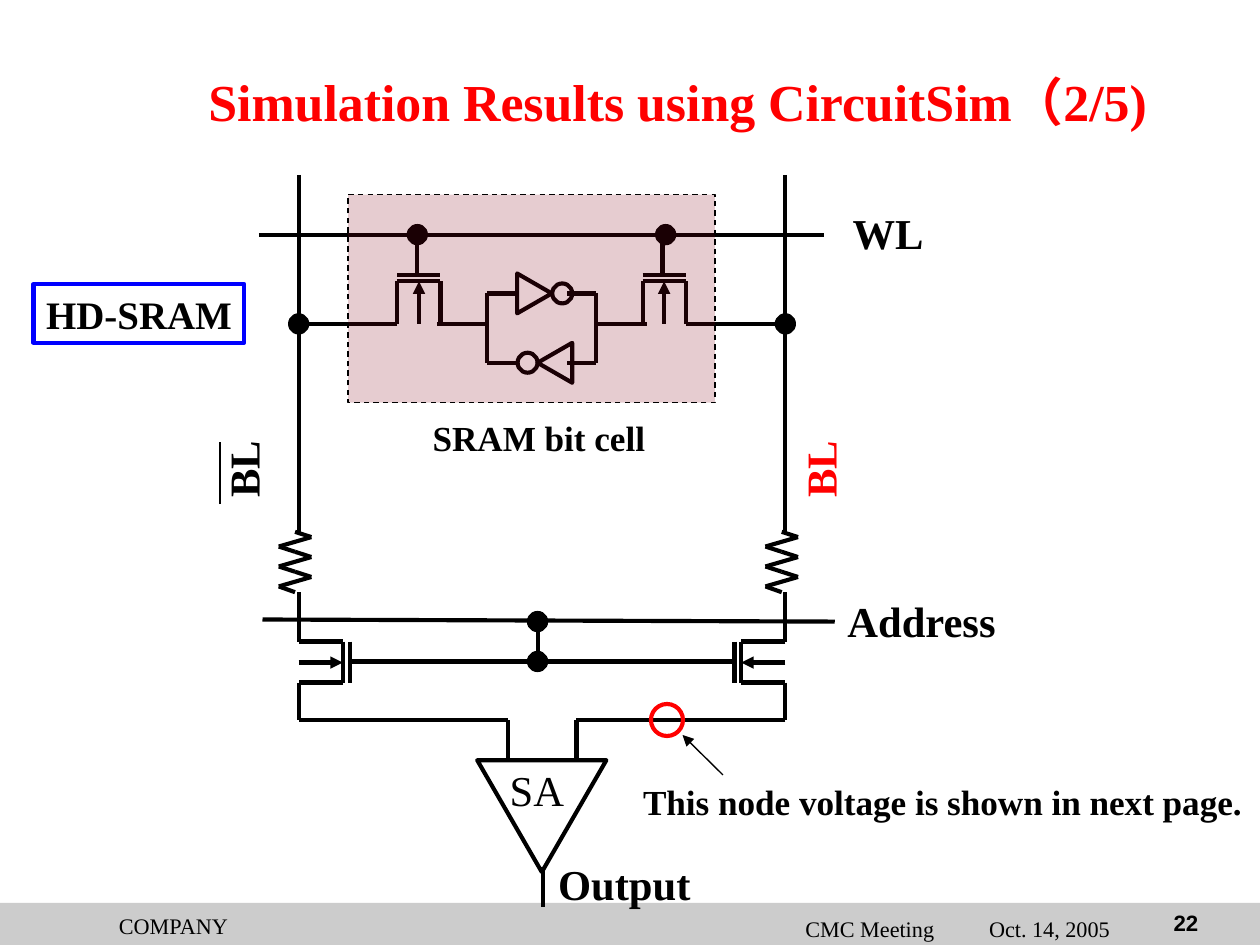
from lxml import etree
from pptx import Presentation
from pptx.dml.color import RGBColor
from pptx.enum.dml import MSO_LINE
from pptx.enum.shapes import MSO_CONNECTOR, MSO_SHAPE
from pptx.enum.text import MSO_ANCHOR, MSO_AUTO_SIZE, PP_ALIGN
from pptx.oxml.ns import qn
from pptx.util import Cm, Pt

STRAIGHT = MSO_CONNECTOR.STRAIGHT
RECTANGLE = MSO_SHAPE.RECTANGLE
TRIANGLE = MSO_SHAPE.ISOSCELES_TRIANGLE
OVAL = MSO_SHAPE.OVAL
LEFT, CENTER = PP_ALIGN.LEFT, PP_ALIGN.CENTER
TOP, MIDDLE = MSO_ANCHOR.TOP, MSO_ANCHOR.MIDDLE

COLORS = {"black": "000000", "red": "FF0000", "blue": "0000FF",
          "footer": "CCCCCC", "cell": "840017"}
SERIF = "Times New Roman"
THICK, THIN = 2.25, 0.75

BIT_LINES = ((5.69, 1), (14.96, -1))  # x and the direction towards the middle
WORD_Y, CELL_Y = 4.47, 6.17
RESISTOR_TOP, RESISTOR_BOTTOM = 10.13, 11.28
SWITCH_TOP, SWITCH_BOTTOM = 12.22, 13.0
GATE_Y, SENSE_Y, AMPLIFIER_TOP = 12.6, 13.72, 14.48
ADDRESS_X, ADDRESS_Y = 10.24, 11.84


def rgb(name):
    return RGBColor.from_string(COLORS[name])


def add_wire(slide, *points, width=THICK, arrow=False):
    """Join the points with straight lines; an arrowhead goes on each end point."""
    for start, end in zip(points, points[1:]):
        line = slide.shapes.add_connector(STRAIGHT, *map(Cm, start + end))
        line.line.color.rgb = rgb("black")
        line.line.width = Pt(width)
        if arrow:
            etree.SubElement(line.line._get_or_add_ln(), qn("a:tailEnd"), type="triangle")
        etree.SubElement(line._element.spPr, qn("a:effectLst"))


def add_shape(slide, kind, box, fill=None, line="black", width=THICK, rotation=0):
    shape = slide.shapes.add_shape(kind, *map(Cm, box))
    shape.shadow.inherit = False
    shape.rotation = rotation
    if fill:
        shape.fill.solid()
        shape.fill.fore_color.rgb = rgb(fill)
    else:
        shape.fill.background()
    if line:
        shape.line.color.rgb = rgb(line)
        shape.line.width = Pt(width)
    else:
        shape.line.fill.background()
    return shape


def write_text(shape, text, size, color="black", bold=True, font=SERIF,
               align=LEFT, anchor=TOP, wrap=False):
    frame = shape.text_frame
    frame.text = text
    frame.word_wrap = wrap
    frame.auto_size = MSO_AUTO_SIZE.NONE
    frame.vertical_anchor = anchor
    frame.margin_left = frame.margin_right = Cm(0.24)
    frame.margin_top = frame.margin_bottom = Cm(0.13)
    paragraph = frame.paragraphs[0]
    paragraph.alignment = align
    for run in paragraph.runs:
        run.font.name = font
        run.font.size = Pt(size)
        run.font.bold = bold
        run.font.color.rgb = rgb(color)


def add_label(slide, text, box, size, rotation=0, **style):
    label = slide.shapes.add_textbox(*map(Cm, box))
    label.rotation = rotation
    write_text(label, text, size, **style)
    return label


def add_dot(slide, x, y):
    add_shape(slide, OVAL, (x - 0.19, y - 0.19, 0.38, 0.38), fill="black", width=THIN)


def add_title(slide):
    title = slide.shapes.title
    title.left, title.top, title.width, title.height = map(Cm, (3.73, 1.19, 20, 1.42))
    write_text(title, "Simulation Results using CircuitSim（2/5)", 28, color="red", wrap=True)


def add_footer(slide):
    add_shape(slide, RECTANGLE, (0, 17.2, 24, 0.8), fill="footer", line=None)
    add_label(slide, "22", (21.74, 17.2, 1.7, 0.76), 12, font="Arial",
              align=CENTER, anchor=MIDDLE, wrap=True)
    add_label(slide, "COMPANY", (0.41, 17.25, 5.79, 0.76), 12, bold=False,
              align=CENTER, wrap=True)
    meeting = add_label(slide, "CMC Meeting\tOct. 14, 2005", (15.1, 17.3, 6.6, 0.7), 12,
                        bold=False, wrap=True)
    properties = meeting.text_frame.paragraphs[0]._p.get_or_add_pPr()
    tabs = etree.SubElement(properties, qn("a:tabLst"))
    etree.SubElement(tabs, qn("a:tab"), pos=str(Cm(3.5)), algn="l")


def add_access_transistor(slide, left):
    right, arrow_x, gate_y, channel_y = left + 0.82, left + 0.41, 5.23, 5.36
    add_wire(slide, (left + 0.38, WORD_Y), (left + 0.38, gate_y))
    add_wire(slide, (left, gate_y), (right, gate_y))
    add_wire(slide, (left, CELL_Y), (left, channel_y), (right, channel_y), (right, CELL_Y))
    add_wire(slide, (arrow_x, CELL_Y), (arrow_x, channel_y), arrow=True)


def add_inverter(slide, y, triangle_left, circle_left, rotation):
    add_shape(slide, TRIANGLE, (triangle_left, y - 0.33, 0.76, 0.66), rotation=rotation)
    add_shape(slide, OVAL, (circle_left, y - 0.19, 0.38, 0.38))


def add_bit_cell(slide):
    add_wire(slide, (4.93, WORD_Y), (15.7, WORD_Y))
    for left in (7.57, 12.24):
        add_access_transistor(slide, left)
    for start, end in ((5.69, 7.57), (8.33, 9.27), (11.35, 12.32), (13.06, 14.96)):
        add_wire(slide, (start, CELL_Y), (end, CELL_Y))
    upper, lower = 5.59, 6.91
    add_inverter(slide, upper, 9.8, 10.52, 90)
    add_inverter(slide, lower, 10.19, 9.86, 270)
    for inner, outer in ((9.86, 9.27), (10.8, 11.35)):
        add_wire(slide, (inner, upper), (outer, upper), (outer, lower), (inner, lower))
    for x in (7.95, 12.68):
        add_dot(slide, x, WORD_Y)


def add_resistor(slide, x):
    points = []
    for turn in range(3):
        y = RESISTOR_TOP + turn * 0.38
        points += [(x, y), (x + 0.31, y + 0.1), (x - 0.31, y + 0.28)]
    add_wire(slide, *points, (x, RESISTOR_BOTTOM))


def add_column_switch(slide, x, side):
    channel, gate, middle = x + side * 0.84, x + side * 0.97, 12.62
    add_wire(slide, (x, SWITCH_TOP), (channel, SWITCH_TOP),
             (channel, SWITCH_BOTTOM), (x, SWITCH_BOTTOM))
    add_wire(slide, (gate, SWITCH_TOP), (gate, SWITCH_BOTTOM))
    add_wire(slide, (x, middle), (channel, middle), arrow=True)


def add_bit_line(slide, x, side):
    add_wire(slide, (x, 3.33), (x, RESISTOR_TOP))
    add_dot(slide, x, CELL_Y)
    add_resistor(slide, x - 0.07)
    add_wire(slide, (x, RESISTOR_BOTTOM), (x, SWITCH_TOP))
    add_column_switch(slide, x, side)
    input_x = x + side * 3.98
    add_wire(slide, (x, SWITCH_BOTTOM), (x, SENSE_Y), (input_x, SENSE_Y),
             (input_x, AMPLIFIER_TOP))


def add_address_line(slide):
    add_wire(slide, (6.66, GATE_Y), (13.99, GATE_Y))
    add_wire(slide, (ADDRESS_X, ADDRESS_Y), (ADDRESS_X, GATE_Y))
    add_wire(slide, (5.0, 11.8), (15.9, ADDRESS_Y))
    for y in (ADDRESS_Y, GATE_Y):
        add_dot(slide, ADDRESS_X, y)


def add_cell_frame(slide):
    frame = add_shape(slide, RECTANGLE, (6.63, 3.71, 6.99, 3.96), fill="cell", width=THIN)
    frame.line.dash_style = MSO_LINE.DASH
    color = frame._element.spPr.find(qn("a:solidFill"))[0]
    etree.SubElement(color, qn("a:alpha"), val="20000")


def add_sense_amplifier(slide):
    add_shape(slide, TRIANGLE, (9.09, AMPLIFIER_TOP, 2.46, 2.13), rotation=180)
    add_wire(slide, (10.34, 17.27), (10.34, 16.51))
    add_shape(slide, OVAL, (12.4, 13.41, 0.61, 0.61), line="red")
    add_wire(slide, (13.77, 14.76), (13.0, 14.0), width=THIN, arrow=True)


def add_labels(slide):
    badge = add_shape(slide, RECTANGLE, (0.64, 5.41, 4.01, 1.12), line="blue")
    write_text(badge, "HD-SRAM", 21)
    add_label(slide, "WL", (16, 3.81, 1.83, 1.22), 23)
    add_label(slide, "BL", (14.83, 8.33, 1.55, 1.22), 23, rotation=270, color="red")
    add_label(slide, "BL", (3.84, 8.33, 1.55, 1.22), 23, rotation=270)
    add_wire(slide, (4.19, 9.6), (4.19, 8.41), width=THIN)
    add_label(slide, "SRAM bit cell", (8, 7.8, 4.52, 1.04), 19)
    add_label(slide, "Address", (15.9, 11.2, 3.33, 1.22), 23)
    add_label(slide, "SA", (9.47, 14.43, 1.52, 1.22), 23, bold=False)
    add_label(slide, "Output", (10.39, 16.21, 3, 1.22), 23)
    add_label(slide, "This node voltage is shown in next page.", (12.01, 14.73, 11.89, 1.04), 19)


def main():
    presentation = Presentation()
    presentation.slide_width, presentation.slide_height = Cm(24), Cm(18)
    slide = presentation.slides.add_slide(presentation.slide_layouts[5])
    add_title(slide)
    add_footer(slide)
    add_bit_cell(slide)
    for x, side in BIT_LINES:
        add_bit_line(slide, x, side)
    add_address_line(slide)
    add_cell_frame(slide)
    add_sense_amplifier(slide)
    add_labels(slide)
    presentation.save("out.pptx")


if __name__ == "__main__":
    main()
